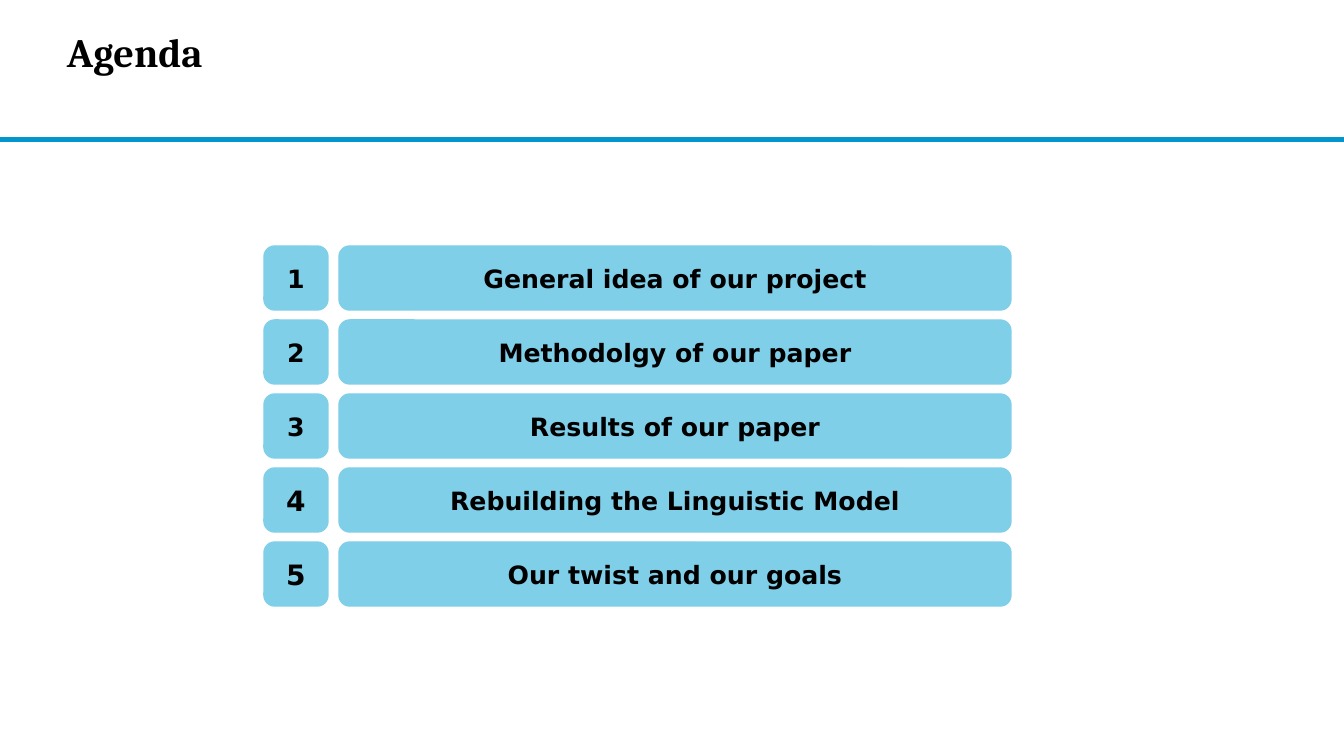
import pptx
import pptx.dml.color
import pptx.enum.shapes
import pptx.enum.text
import pptx.util

EMU_PER_PX = 914400 / 100.8
SHAPE = pptx.enum.shapes.MSO_SHAPE
ALIGN = pptx.enum.text.PP_ALIGN
MIDDLE = pptx.enum.text.MSO_ANCHOR.MIDDLE

TOPICS = [
    ("General idea of our project", 18),
    ("Methodolgy of our paper", 18),
    ("Results of our paper", 18),
    ("Rebuilding the Linguistic Model", 20),
    ("Our twist and our goals", 20),
]
ROW_TOP, ROW_PITCH, ROW_HEIGHT = 246, 74, 64
NUMBER_LEFT, TOPIC_LEFT, TOPIC_WIDTH = 264, 339, 672


def px(value):
    return pptx.util.Emu(round(value * EMU_PER_PX))


def color(hex_code):
    return pptx.dml.color.RGBColor.from_string(hex_code)


def set_text(sp, text, size, font, align):
    tf = sp.text_frame
    tf.word_wrap = True
    tf.vertical_anchor = MIDDLE
    tf.text = text
    p = tf.paragraphs[0]
    p.alignment = align
    r = p.runs[0]
    r.font.size = pptx.util.Pt(size)
    r.font.name = font
    r.font.bold = True
    r.font.color.rgb = color("000000")


def add_block(s, kind, x, y, w, h, fill, line):
    sp = s.shapes.add_shape(kind, px(x), px(y), px(w), px(h))
    sp.shadow.inherit = False
    sp.fill.solid()
    sp.fill.fore_color.rgb = color(fill)
    sp.line.color.rgb = color(line)
    sp.line.width = pptx.util.Pt(1)
    return sp


def add_title(s, text):
    sp = s.shapes.add_textbox(px(67), px(16), px(1159), px(71))
    sp.text_frame.margin_left = 0
    set_text(sp, text, 28.8, "Cambria", ALIGN.LEFT)


def add_label(s, x, y, w, text, size):
    sp = add_block(s, SHAPE.ROUNDED_RECTANGLE, x, y, w, ROW_HEIGHT, "80CFE9", "80CFE9")
    set_text(sp, text, size, "DejaVu Sans", ALIGN.CENTER)


def main():
    prs = pptx.Presentation()
    prs.slide_width, prs.slide_height = px(1344), px(756)
    s = prs.slides.add_slide(prs.slide_layouts[6])
    add_block(s, SHAPE.RECTANGLE, 0, 138, 1344, 3, "0C94B7", "0096D3")
    add_title(s, "Agenda")
    for i, (topic, number_size) in enumerate(TOPICS):
        y = ROW_TOP + i * ROW_PITCH
        add_label(s, NUMBER_LEFT, y, ROW_HEIGHT, str(i + 1), number_size)
        add_label(s, TOPIC_LEFT, y, TOPIC_WIDTH, topic, 18)
    prs.save("out.pptx")


if __name__ == "__main__":
    main()
